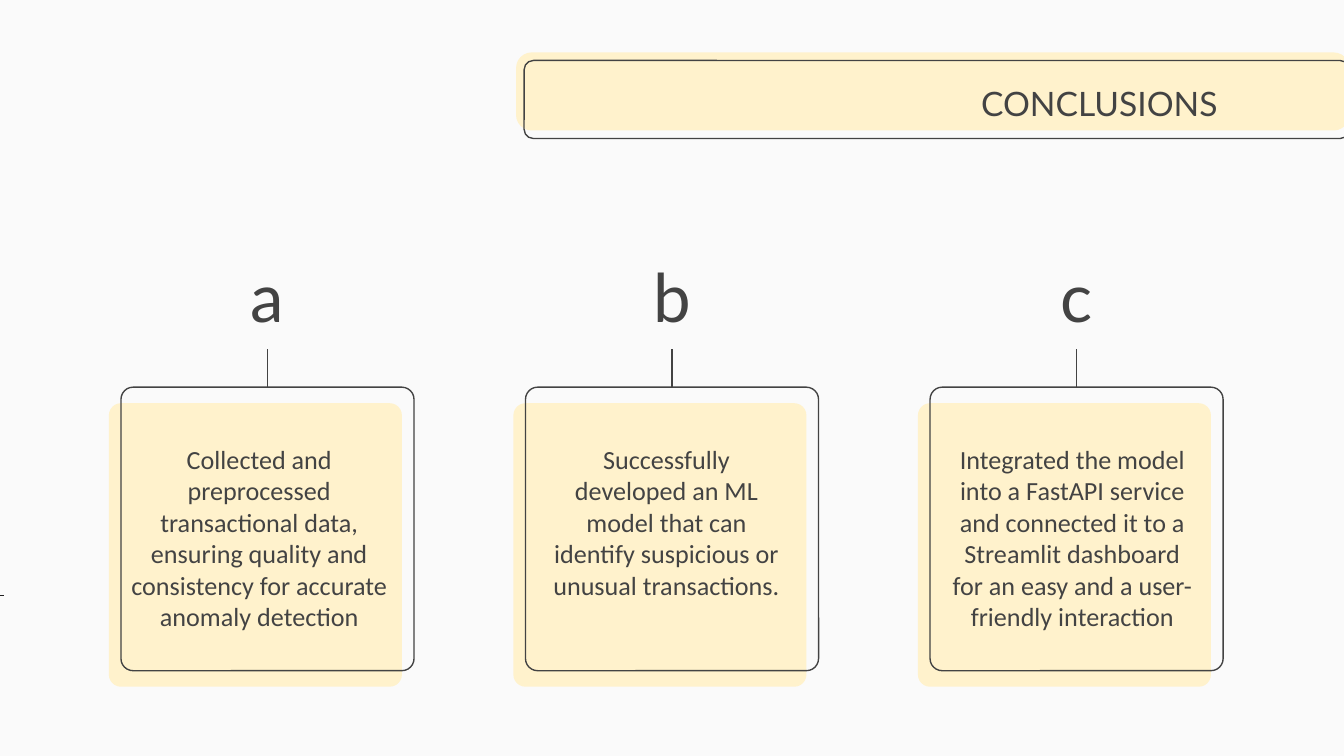
"""Build the conclusions slide with three lettered cards."""
import pptx
import pptx.dml.color
import pptx.enum.shapes
import pptx.enum.text
import pptx.oxml.ns
import pptx.util
from lxml import etree

Pt = pptx.util.Pt
SHAPES = pptx.enum.shapes.MSO_SHAPE
ALIGN = pptx.enum.text.PP_ALIGN
ANCHOR = pptx.enum.text.MSO_ANCHOR

PAPER = pptx.dml.color.RGBColor(0xFA, 0xFA, 0xFA)
CREAM = pptx.dml.color.RGBColor(0xFF, 0xF2, 0xCC)
INK = pptx.dml.color.RGBColor(0x43, 0x43, 0x43)
BLACK = pptx.dml.color.RGBColor(0x1F, 0x1F, 0x1F)

CARD_LEFT, CARD_PITCH = 58.3, 216.72
CARD_WIDTH, CARD_HEIGHT = 157, 151.9
CARDS = [
    ("a", 0, 161.3, "Collected and preprocessed transactional data, ensuring quality "
                    "and consistency for accurate anomaly detection"),
    ("b", 10.1, 144, "Successfully developed an ML model that can identify suspicious "
                     "or unusual transactions."),
    ("c", 10.8, 144, "Integrated the model into a FastAPI service and connected it to a "
                     "Streamlit dashboard for an easy and a user-friendly interaction"),
]


class Painter:
    """Hold the style and the current page."""

    heading_font = "Lato"
    body_font = "Calibri"
    inset = 7.2

    def __init__(self, page):
        """Start on a page with a plain background."""
        self.page = page
        page.background.fill.solid()
        page.background.fill.fore_color.rgb = PAPER

    def panel(self, left, top, width, height, rounding, fill=None):
        """Add a rounded panel, filled or outlined."""
        shape = self.page.shapes.add_shape(
            SHAPES.ROUNDED_RECTANGLE, Pt(left), Pt(top), Pt(width), Pt(height))
        shape.adjustments[0] = rounding
        shape.shadow.inherit = False
        if fill is None:
            shape.fill.background()
            shape.line.color.rgb = INK
            shape.line.width = Pt(0.75)
        else:
            shape.fill.solid()
            shape.fill.fore_color.rgb = fill
            shape.line.fill.background()
        return shape

    def line(self, start, end, color=INK, weight=0.75, target=None):
        """Add a straight line that may end on the top of a target."""
        line = self.page.shapes.add_connector(
            pptx.enum.shapes.MSO_CONNECTOR.STRAIGHT, *map(Pt, start + end))
        line.line.color.rgb = color
        line.line.width = Pt(weight)
        etree.SubElement(line._element.spPr, pptx.oxml.ns.qn("a:effectLst"))
        if target is not None:
            line.end_connect(target, 0)

    def fill_text(self, box, words, size, font, align, anchor):
        """Put one styled run into a box."""
        frame = box.text_frame
        frame.word_wrap = True
        frame.auto_size = pptx.enum.text.MSO_AUTO_SIZE.NONE
        frame.vertical_anchor = anchor
        frame.margin_left = frame.margin_right = Pt(self.inset)
        frame.margin_top = frame.margin_bottom = Pt(self.inset)
        para = frame.paragraphs[0]
        para.alignment = align
        span = para.add_run()
        span.text = words
        span.font.size = Pt(size)
        span.font.name = font
        span.font.color.rgb = INK

    def text(self, left, top, width, height, words, size, font, anchor):
        """Add a centred text box."""
        box = self.page.shapes.add_textbox(Pt(left), Pt(top), Pt(width), Pt(height))
        self.fill_text(box, words, size, font, ALIGN.CENTER, anchor)

    def title(self, left, top, width, height, words):
        """Place the title in front of its band."""
        box = self.page.shapes.title
        box.left, box.top, box.width, box.height = map(Pt, (left, top, width, height))
        self.fill_text(box, words, 18, self.heading_font, ALIGN.RIGHT, ANCHOR.MIDDLE)
        self.page.shapes._spTree.append(box._element)

    def card(self, left, letter, indent, width, words):
        """Add a lettered card with its stem."""
        self.panel(left, 216, CARD_WIDTH, CARD_HEIGHT, 0.043, CREAM)
        frame = self.panel(left + 6.5, 207.4, CARD_WIDTH, CARD_HEIGHT, 0.043)
        middle = left + 6.5 + CARD_WIDTH / 2
        self.line((middle, 187.2), (middle, 207.4), target=frame)
        self.text(middle - 56.2, 124.6, 112.4, 62.6, letter, 36,
                  self.heading_font, ANCHOR.BOTTOM)
        self.text(left + indent, 230.4, width, 131.8, words, 14,
                  self.body_font, ANCHOR.TOP)


def main():
    """Build and save the deck."""
    deck = pptx.Presentation()
    deck.slide_width, deck.slide_height = Pt(720), Pt(405)
    painter = Painter(deck.slides.add_slide(deck.slide_layouts[5]))
    painter.panel(276.5, 28.1, 446.4, 41.8, 0.199, CREAM)
    painter.panel(280.8, 32.4, 442.1, 41.8, 0.119)
    painter.line((0, 319), (2.2, 319), BLACK, 0.3)
    for index, card in enumerate(CARDS):
        painter.card(CARD_LEFT + index * CARD_PITCH, *card)
    painter.title(408.2, 36, 251.3, 38.2, "CONCLUSIONS")
    deck.save("out.pptx")


if __name__ == "__main__":
    main()
